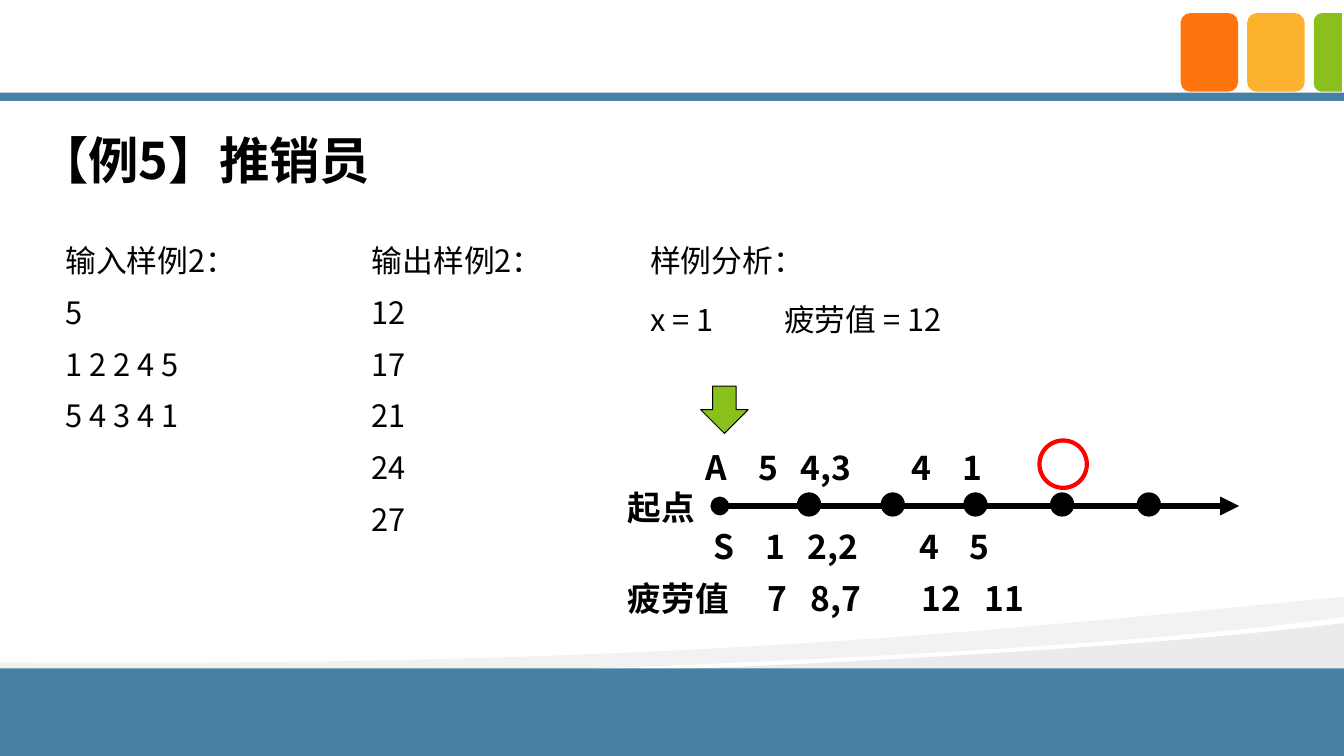
from dataclasses import dataclass

from lxml import etree
from pptx import Presentation
from pptx import util as u
from pptx.dml.color import RGBColor
from pptx.enum import lang, shapes
from pptx.oxml import ns

BLUE = RGBColor(0x46, 0x81, 0xA3)
ORANGE = RGBColor(0xFE, 0x75, 0x0E)
AMBER = RGBColor(0xFC, 0xB2, 0x2C)
GREEN = RGBColor(0x89, 0xC0, 0x1C)
RED = RGBColor(0xFF, 0x00, 0x00)
BLACK = RGBColor(0x00, 0x00, 0x00)
PALE_GREY = RGBColor(0xF2, 0xF2, 0xF2)
LIGHT_GREY = RGBColor(0xEB, 0xEB, 0xEB)
FONT = "Noto Sans CJK SC"
KIND = shapes.MSO_SHAPE

Point = tuple[float, float]
Segment = tuple[Point, ...]


@dataclass
class Box:
    left: float
    top: float
    width: float
    height: float

    def lengths(self) -> list[u.Length]:
        return [u.Inches(v) for v in (self.left, self.top, self.width, self.height)]


@dataclass
class Wave:
    start: Point
    segments: list[Segment]
    fill: RGBColor


@dataclass
class Mark:
    kind: KIND
    box: Box
    fill: RGBColor | None
    line: RGBColor | None = None
    line_width: float = 0.75
    rotation: float = 0
    adjustments: tuple[float, ...] = ()


@dataclass
class Passage:
    box: Box
    lines: list[str]
    size: float
    bold: bool = False
    first_spacing: float = 1
    spacing: float = 1
    tabs: tuple[float, ...] = ()


def draw_wave(slide, wave: Wave) -> None:
    points = [(u.Inches(x), u.Inches(y)) for segment in wave.segments for x, y in segment]
    start_x, start_y = wave.start
    builder = slide.shapes.build_freeform(u.Inches(start_x), u.Inches(start_y))
    builder.add_line_segments(points, close=True)
    shape = builder.convert_to_shape()
    steps = iter(list(shape._element.iter(ns.qn("a:lnTo"))))
    for segment in wave.segments:
        parts = [next(steps) for _ in segment]
        if len(parts) == 3:
            bend = etree.Element(ns.qn("a:cubicBezTo"))
            parts[0].addprevious(bend)
            for part in parts:
                bend.append(part[0])
                part.getparent().remove(part)
    shape.shadow.inherit = False
    shape.fill.solid()
    shape.fill.fore_color.rgb = wave.fill
    shape.line.fill.background()


def draw_mark(slide, mark: Mark) -> None:
    shape = slide.shapes.add_shape(mark.kind, *mark.box.lengths())
    shape.shadow.inherit = False
    shape.rotation = mark.rotation
    for index, value in enumerate(mark.adjustments):
        shape.adjustments[index] = value
    if mark.fill is None:
        shape.fill.background()
    else:
        shape.fill.solid()
        shape.fill.fore_color.rgb = mark.fill
    if mark.line is None:
        shape.line.fill.background()
    else:
        shape.line.color.rgb = mark.line
        shape.line.width = u.Pt(mark.line_width)


def write_passage(slide, passage: Passage) -> None:
    frame = slide.shapes.add_textbox(*passage.box.lengths()).text_frame
    frame.word_wrap = True
    for index, line in enumerate(passage.lines):
        paragraph = frame.paragraphs[0] if index == 0 else frame.add_paragraph()
        paragraph.text = line
        paragraph.line_spacing = passage.spacing if index else passage.first_spacing
        properties = paragraph._p.get_or_add_pPr()
        if passage.tabs and "\t" in line:
            stops = etree.SubElement(properties, ns.qn("a:tabLst"))
            for position in passage.tabs:
                etree.SubElement(stops, ns.qn("a:tab"),
                                 pos=str(u.Inches(position)), algn="l")
        font = paragraph.font
        font.name = FONT
        font.size = u.Pt(passage.size)
        font.bold = passage.bold
        font.color.rgb = BLACK
        font.language_id = lang.MSO_LANGUAGE_ID.SIMPLIFIED_CHINESE
        latin = properties.find(".//" + ns.qn("a:latin"))
        latin.addnext(etree.Element(ns.qn("a:ea"), typeface=FONT))


def draw_road(slide, start: float, end: float, level: float) -> None:
    road = slide.shapes.add_connector(
        shapes.MSO_CONNECTOR.STRAIGHT,
        u.Inches(start), u.Inches(level), u.Inches(end), u.Inches(level))
    road.line.color.rgb = BLACK
    road.line.width = u.Pt(4.5)
    outline = road.line._get_or_add_ln()
    etree.SubElement(outline, ns.qn("a:headEnd"), type="oval")
    etree.SubElement(outline, ns.qn("a:tailEnd"), type="triangle")
    etree.SubElement(road._element.spPr, ns.qn("a:effectLst"))


def table_row(left: float, top: float, width: float, values: str,
              columns: tuple[float, ...]) -> Passage:
    inset = 0.1
    tabs = tuple(round(column - left - inset, 2) for column in columns)
    return Passage(Box(left, top, width, 0.5), [values], 24, True, tabs=tabs)


def sample(left: float, width: float, height: float, lines: list[str],
           spacing: float = 1.4, tabs: tuple[float, ...] = ()) -> Passage:
    return Passage(Box(left, 2.13, width, height), lines, 22,
                   first_spacing=1.6, spacing=spacing, tabs=tabs)


WAVES = [
    Wave((13.33, 6.18),
         [((13.33, 7.5),), ((0, 7.5),), ((0, 6.75),),
          ((3.52, 6.83), (10.42, 6.55), (13.33, 6.18))], LIGHT_GREY),
    Wave((13.33, 5.92),
         [((13.33, 6.12),),
          ((12.55, 6.23), (11.49, 6.33), (10.29, 6.41)),
          ((6.98, 6.63), (2.58, 6.77), (0, 6.71)),
          ((0, 6.57),),
          ((6.52, 6.62), (9.71, 6.27), (13.33, 5.92))], PALE_GREY),
]

BACKDROP = [
    Mark(KIND.RECTANGLE, Box(-0.03, 6.63, 13.4, 0.87), BLUE),
    Mark(KIND.RECTANGLE, Box(-0.03, 0.92, 13.4, 0.08), BLUE),
    *(Mark(KIND.ROUNDED_RECTANGLE, Box(11.71 + 0.66 * i, 0.13, 0.57, 0.78), colour)
      for i, colour in enumerate((ORANGE, AMBER))),
    Mark(KIND.ROUND_2_SAME_RECTANGLE, Box(12.78, 0.38, 0.78, 0.28), GREEN,
         rotation=270, adjustments=(0.29, 0)),
]

HOUSES = [Mark(KIND.OVAL, Box(left, 4.89, 0.23, 0.23), BLACK, BLACK)
          for left in (7.91, 8.74, 9.56, 10.42, 11.28)]

POINTERS = [
    Mark(KIND.DOWN_ARROW, Box(6.95, 3.83, 0.47, 0.47), GREEN, BLACK),
    Mark(KIND.OVAL, Box(10.31, 4.37, 0.47, 0.47), None, RED, 3),
]

PASSAGES = [
    Passage(Box(0.28, 0.63, 7.26, 1.31), ["【例5】推销员"], 36, True, first_spacing=2),
    table_row(6.9, 4.38, 5.39, "A\t5\t4,3\t4\t1", (7.52, 7.94, 9.04, 9.55)),
    Passage(Box(6.13, 4.78, 0.94, 0.5), ["起点"], 24, True),
    table_row(6.98, 5.17, 5.23, "S\t1\t2,2\t4\t5", (7.59, 8.01, 9.12, 9.62)),
    table_row(6.13, 5.68, 6.02, "疲劳值\t7\t8,7\t12\t11", (7.61, 8.04, 9.14, 9.77)),
    sample(0.55, 3.2, 3.09, ["输入样例2：", "5", "1 2 2 4 5", "5 4 3 4 1"]),
    sample(3.59, 2.89, 3.38, ["输出样例2：", "12", "17", "21", "24", "27"]),
    sample(6.35, 4.95, 1.23, ["样例分析：", "x = 1\t疲劳值 = 12"], 1.6, (1.33,)),
]


def main() -> None:
    deck = Presentation()
    deck.slide_width = u.Inches(13.33)
    deck.slide_height = u.Inches(7.5)
    slide = deck.slides.add_slide(deck.slide_layouts[6])
    for wave in WAVES:
        draw_wave(slide, wave)
    for mark in BACKDROP:
        draw_mark(slide, mark)
    draw_road(slide, 7.14, 12.29, 5.02)
    for mark in HOUSES + POINTERS:
        draw_mark(slide, mark)
    for passage in PASSAGES:
        write_passage(slide, passage)
    deck.save("out.pptx")


if __name__ == "__main__":
    main()
